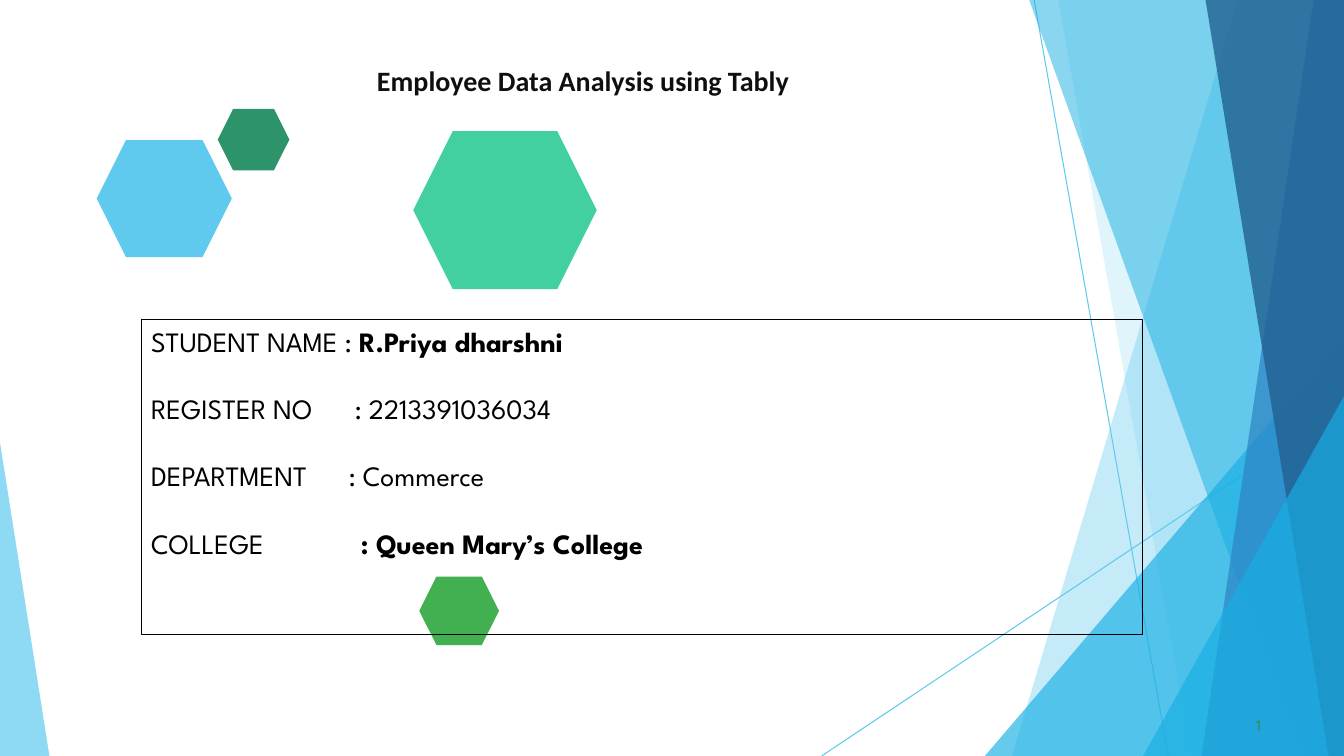
from lxml import etree
from pptx import Presentation
from pptx.dml.color import RGBColor
from pptx.enum.shapes import MSO_CONNECTOR, MSO_SHAPE
from pptx.enum.text import MSO_ANCHOR, PP_ALIGN
from pptx.oxml.ns import qn
from pptx.util import Inches, Pt

SKY = RGBColor(0x5F, 0xCA, 0xEE)
CYAN = RGBColor(0x17, 0xAF, 0xE3)
BLUE = RGBColor(0x2D, 0x83, 0xC3)
NAVY = RGBColor(0x22, 0x61, 0x92)
PINE = RGBColor(0x2D, 0x93, 0x6B)
MINT = RGBColor(0x42, 0xD0, 0xA1)
LEAF = RGBColor(0x42, 0xAF, 0x51)
INK = RGBColor(0x0F, 0x0F, 0x0F)
BLACK = RGBColor(0, 0, 0)

deck = Presentation()
deck.slide_width, deck.slide_height = Inches(13.333), Inches(7.5)
page = deck.slides.add_slide(deck.slide_layouts[6])


def share(*percents):
    """Turn alternating x, y percentages of the slide into lengths."""
    sides = (deck.slide_width, deck.slide_height)
    return [round(sides[i % 2] * p / 100) for i, p in enumerate(percents)]


def add_label(text, place, size, font, color, bold=False):
    """Add a one-line text box without side margins."""
    box = page.shapes.add_textbox(*share(*place))
    frame = box.text_frame
    frame.word_wrap = True
    frame.margin_left = frame.margin_right = frame.margin_bottom = 0
    frame.margin_top = Inches(0.02)
    para = frame.paragraphs[0]
    para.text = text
    para.space_before = Pt(1)
    para.font.size, para.font.name, para.font.bold = Pt(size), font, bold
    para.font.color.rgb = color


# Thin lines behind the facets
for ends in [(76.95, 0, 86.93, 100), (100, 53.87, 61.13, 100)]:
    line = page.shapes.add_connector(MSO_CONNECTOR.STRAIGHT, *share(*ends))
    line.line.color.rgb, line.line.width = SKY, Pt(0.75)
    etree.SubElement(line._element.spPr, qn("a:effectLst"))

# Translucent facets: colour, opacity in percent, corners
right_edge = [(100, 100), (100, 0)]
facets = [
    (SKY, 36, [(92.1, 0), (75.3, 100), *right_edge]),
    (SKY, 20, [(78.75, 0), (88.65, 100), *right_edge]),
    (CYAN, 66, [(100, 44.4), (73.28, 100), (100, 100)]),
    (CYAN, 50, [(76.58, 0), (96.83, 100), *right_edge]),
    (BLUE, 70, [(97.73, 0), (89.4, 100), *right_edge]),
    (NAVY, 80, [(89.7, 0), (98.85, 100), *right_edge]),
    (CYAN, 66, [(100, 52.4), (85.05, 100), (100, 100)]),
    (SKY, 70, [(0, 58.53), (0, 100), (3.68, 100)]),
]
for color, opacity, corners in facets:
    start, *others = [share(*corner) for corner in corners]
    builder = page.shapes.build_freeform(*start)
    builder.add_line_segments(others, close=True)
    facet = builder.convert_to_shape()
    facet.shadow.inherit = False
    facet.fill.solid()
    facet.fill.fore_color.rgb = color
    facet.line.fill.background()
    tint = facet._element.spPr.find(f".//{qn('a:srgbClr')}")
    etree.SubElement(tint, qn("a:alpha"), val=str(opacity * 1000))

# Hexagons
hexagons = [
    (SKY, (7.2, 18.53, 10.05, 15.47)),
    (PINE, (16.2, 14.4, 5.33, 8.13)),
    (MINT, (30.75, 17.33, 13.65, 20.93)),
    (LEAF, (31.2, 76.27, 5.93, 9.07)),
]
for color, place in hexagons:
    hexagon = page.shapes.add_shape(MSO_SHAPE.HEXAGON, *share(*place))
    hexagon.shadow.inherit = False
    hexagon.fill.solid()
    hexagon.fill.fore_color.rgb = color
    hexagon.line.fill.background()

# Title and page number
add_label("Employee Data Analysis using Tably", (28.05, 8.13, 55.58, 9.2),
          20, "Calibri", INK, bold=True)
add_label("1", (93.45, 94.4, 1.2, 2.8), 11, "Cabin", PINE)

# Student details: label, tab position in inches, value, bold spans
card = page.shapes.add_shape(MSO_SHAPE.RECTANGLE, *share(10.5, 42.27, 74.48, 41.73))
card.shadow.inherit = False
card.fill.background()
card.line.color.rgb, card.line.width = BLACK, Pt(0.75)
frame = card.text_frame
frame.word_wrap = True
frame.vertical_anchor = MSO_ANCHOR.TOP

details = [
    ("STUDENT NAME : ", None, "R.Priya dharshni", True),
    ("REGISTER NO\t", 2.02, ": 2213391036034", False),
    ("DEPARTMENT\t", 1.96, ": Commerce", False),
    ("COLLEGE\t", 2.08, ": Queen Mary’s College", True),
]
for row, (label, stop, value, bold) in enumerate(details):
    para = frame.add_paragraph() if row else frame.paragraphs[0]
    para.alignment = PP_ALIGN.LEFT
    para.space_after = Pt(24)
    para.font.size, para.font.name = Pt(20), "League Spartan"
    para.font.color.rgb = BLACK
    if stop:
        tabs = etree.Element(qn("a:tabLst"))
        etree.SubElement(tabs, qn("a:tab"), pos=str(Inches(stop)), algn="l")
        para._p.pPr.find(qn("a:defRPr")).addprevious(tabs)
    for text, heavy in [(label, False), (value, bold)]:
        span = para.add_run()
        span.text = text
        span.font.bold = heavy

deck.save("out.pptx")
